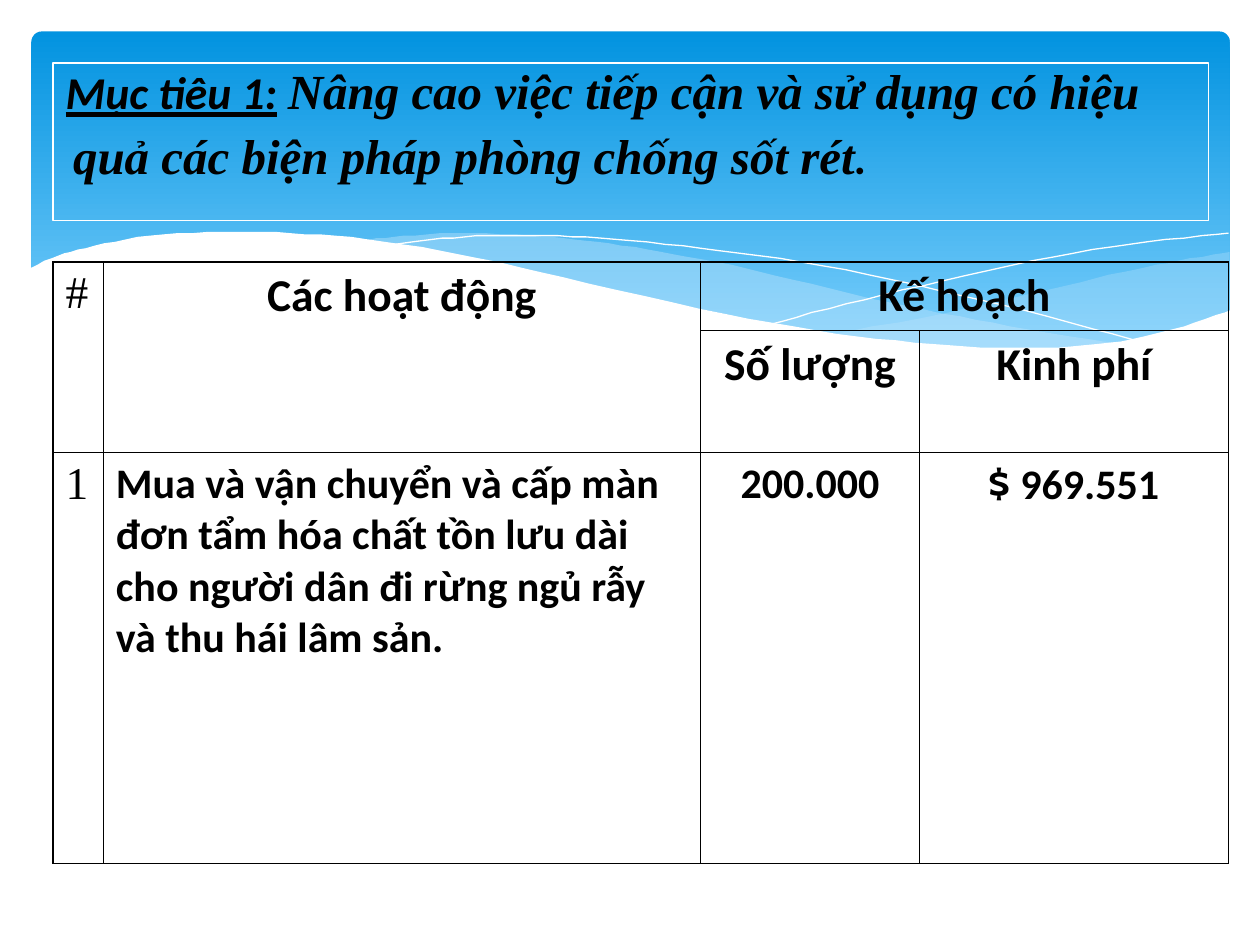
from dataclasses import dataclass
from typing import NamedTuple, Optional

from lxml.etree import SubElement
from pptx import Presentation
from pptx.dml.color import RGBColor
from pptx.enum.shapes import MSO_SHAPE
from pptx.enum.text import MSO_ANCHOR, MSO_AUTO_SIZE, PP_ALIGN
from pptx.oxml.ns import qn
from pptx.util import Emu, Pt

COLUMNS, ROWS = 1000, 750
UNIT = 9144


@dataclass(frozen=True)
class Theme:
    sky_top: str = "0293E0"
    sky_bottom: str = "83D3FE"
    mist: str = "C6E7FC"
    white: str = "FFFFFF"
    ink: str = "000000"
    sans: str = "Calibri"
    serif: str = "Times New Roman"
    currency: str = "Cabin"
    heading: float = 26
    goal: float = 28
    body: float = 24
    outer_rule: float = 1.08
    inner_rule: float = 0.45


THEME = Theme()
Knots = tuple[tuple[float, float], ...]


class Wave(NamedTuple):
    curves: tuple[Knots, ...]
    fill: Optional[str] = None
    opacity: int = 100


class Piece(NamedTuple):
    text: str
    font: str = THEME.sans
    size: Optional[float] = None
    underline: Optional[bool] = None


class Entry(NamedTuple):
    row: int
    column: int
    pieces: tuple[Piece, ...]
    size: float = THEME.heading
    bold: bool = True
    align: PP_ALIGN = PP_ALIGN.CENTER
    last_row: Optional[int] = None
    last_column: Optional[int] = None


WAVES = (
    Wave((((976, 200), (935, 207), (891, 216), (832, 230), (753, 248), (661, 265)),
          ((661, 265), (705, 271), (757, 276), (814, 278), (872, 274),
           (921, 265), (949, 257), (976, 247))), THEME.mist, 29),
    Wave((((893, 273), (837, 265), (775, 254), (706, 240), (629, 222), (569, 208),
           (514, 198), (464, 191), (420, 187), (361, 185), (313, 188), (286, 191)),
          ((286, 191), (342, 199), (404, 211), (449, 222), (530, 240), (601, 255),
           (665, 266), (722, 274), (773, 278), (818, 279), (857, 277), (893, 273))),
         THEME.mist, 40),
    Wave((((309, 195), (343, 190), (387, 187), (433, 187), (489, 190), (556, 197),
           (636, 208), (727, 226), (831, 251), (907, 272)),)),
    Wave((((613, 257), (672, 241), (748, 223), (836, 204), (910, 192), (975, 185)),)),
    Wave((((977, 246), (940, 259), (899, 269), (850, 275), (793, 276), (726, 272),
           (647, 262), (555, 245), (447, 220), (365, 202), (292, 190), (230, 185),
           (176, 184), (119, 187), (75, 195), (46, 203), (23, 213)),
          ((23, 329), (977, 329))), THEME.white),
)

COLUMN_WIDTHS = (40, 474, 174, 245)
ROW_HEIGHTS = (53, 97, 326)
ENTRIES = (
    Entry(0, 0, (Piece("#", THEME.serif),), bold=False, align=PP_ALIGN.LEFT, last_row=1),
    Entry(0, 1, (Piece("Các hoạt động"),), last_row=1),
    Entry(0, 2, (Piece("Kế hoạch"),), last_column=3),
    Entry(1, 2, (Piece("Số lượng"),)),
    Entry(1, 3, (Piece("Kinh phí"),)),
    Entry(2, 0, (Piece("1", THEME.serif),), bold=False, align=PP_ALIGN.LEFT),
    Entry(2, 1, (Piece("Mua và vận chuyển và cấp màn đơn tẩm hóa chất tồn lưu dài "
                       "cho người dân đi rừng ngủ rẫy và thu hái lâm sản."),),
          THEME.body, align=PP_ALIGN.LEFT),
    Entry(2, 2, (Piece("200.000"),), THEME.body),
    Entry(2, 3, (Piece("$", THEME.currency), Piece(" 969.551")), THEME.body),
)
GOAL = (
    Piece("Mục tiêu 1:", THEME.sans, THEME.heading, True),
    Piece(" ", THEME.sans, THEME.heading),
    Piece("Nâng cao việc tiếp cận và sử dụng có hiệu quả các biện pháp "
          "phòng chống sốt rét", THEME.serif, THEME.goal),
    Piece(".", THEME.sans, THEME.heading),
)


def span(*units: float) -> tuple[Emu, ...]:
    return tuple(Emu(round(unit * UNIT)) for unit in units)


def smooth(knots: Knots, steps: int = 5) -> list[tuple[float, float]]:
    if len(knots) < 3:
        return list(knots)
    padded = (knots[0], *knots, knots[-1])
    points = [knots[0]]
    for a, b, c, d in zip(padded, padded[1:], padded[2:], padded[3:]):
        for step in range(1, steps + 1):
            t = step / steps
            points.append(tuple(
                q + t * (r - p) / 2 + t * t * (2 * p - 5 * q + 4 * r - s) / 2
                + t ** 3 * (3 * q - p - 3 * r + s) / 2
                for p, q, r, s in zip(a, b, c, d)))
    return points


def draw_sky(slide) -> None:
    sky = slide.shapes.add_shape(MSO_SHAPE.ROUNDED_RECTANGLE, *span(25, 25, 951, 270))
    sky.adjustments[0] = 0.03
    sky.shadow.inherit = False
    sky.line.fill.background()
    sky.fill.gradient()
    sky.fill.gradient_angle = 270
    for stop, color in zip(sky.fill.gradient_stops, (THEME.sky_top, THEME.sky_bottom)):
        stop.color.rgb = RGBColor.from_string(color)


def draw_wave(slide, wave: Wave) -> None:
    start, *rest = [point for curve in wave.curves for point in smooth(curve)]
    builder = slide.shapes.build_freeform(*start, scale=UNIT)
    builder.add_line_segments(rest, close=wave.fill is not None)
    outline = builder.convert_to_shape()
    outline.shadow.inherit = False
    if wave.fill is None:
        outline.fill.background()
        outline.line.color.rgb = RGBColor.from_string(THEME.white)
        outline.line.width = Pt(0)
        return
    outline.line.fill.background()
    outline.fill.solid()
    outline.fill.fore_color.rgb = RGBColor.from_string(wave.fill)
    if wave.opacity < 100:
        tint = outline.fill._xPr.find(".//" + qn("a:srgbClr"))
        SubElement(tint, qn("a:alpha"), val=str(wave.opacity * 1000))


def write_pieces(paragraph, pieces: tuple[Piece, ...]) -> None:
    paragraph.font.color.rgb = RGBColor.from_string(THEME.ink)
    if len(pieces) == 1:
        paragraph.font.name = pieces[0].font
    for piece in pieces:
        run = paragraph.add_run()
        run.text = piece.text
        if len(pieces) > 1:
            run.font.name = piece.font
        if piece.size:
            run.font.size = Pt(piece.size)
        if piece.underline:
            run.font.underline = True


def rule_cell(cell, row: int, column: int) -> None:
    outer = {"lnL": column == 0, "lnR": column == len(COLUMN_WIDTHS) - 1,
             "lnT": row == 0, "lnB": False}
    cell.fill.background()
    properties = cell._tc.get_or_add_tcPr()
    for position, (side, is_outer) in enumerate(outer.items()):
        weight = THEME.outer_rule if is_outer else THEME.inner_rule
        rule = SubElement(properties, qn(f"a:{side}"), w=str(Pt(weight)))
        SubElement(SubElement(rule, qn("a:solidFill")), qn("a:srgbClr"), val=THEME.ink)
        properties.insert(position, rule)


def draw_plan(slide) -> None:
    plan = slide.shapes.add_table(
        len(ROW_HEIGHTS), len(COLUMN_WIDTHS),
        *span(42, 208, sum(COLUMN_WIDTHS), sum(ROW_HEIGHTS))).table
    plan.first_row = plan.horz_banding = False
    for column, width in zip(plan.columns, span(*COLUMN_WIDTHS)):
        column.width = width
    for row, height in zip(plan.rows, span(*ROW_HEIGHTS)):
        row.height = height
    for row in range(len(ROW_HEIGHTS)):
        for column in range(len(COLUMN_WIDTHS)):
            rule_cell(plan.cell(row, column), row, column)
    for entry in ENTRIES:
        cell = plan.cell(entry.row, entry.column)
        if entry.last_row or entry.last_column:
            cell.merge(plan.cell(entry.last_row or entry.row,
                                 entry.last_column or entry.column))
        paragraph = cell.text_frame.paragraphs[0]
        paragraph.alignment = entry.align
        paragraph.font.size = Pt(entry.size)
        paragraph.font.bold = entry.bold
        write_pieces(paragraph, entry.pieces)


def draw_goal(slide) -> None:
    goal = slide.shapes.title
    slide.shapes._spTree.append(goal._element)
    goal.left, goal.top, goal.width, goal.height = span(42, 50, 917, 125)
    goal.line.color.rgb = RGBColor.from_string(THEME.white)
    goal.line.width = Pt(0.75)
    frame = goal.text_frame
    frame.auto_size = MSO_AUTO_SIZE.NONE
    frame.word_wrap = True
    frame.vertical_anchor = MSO_ANCHOR.MIDDLE
    frame.margin_left, frame.margin_top, frame.margin_right, frame.margin_bottom = span(
        10, 5, 10, 40)
    paragraph = frame.paragraphs[0]
    paragraph.alignment = PP_ALIGN.LEFT
    paragraph.line_spacing = 1.1
    hanging, = span(6)
    properties = paragraph._p.get_or_add_pPr()
    properties.set("marL", str(hanging))
    properties.set("indent", str(-hanging))
    paragraph.font.bold = paragraph.font.italic = True
    write_pieces(paragraph, GOAL)


def main() -> None:
    deck = Presentation()
    deck.slide_width, deck.slide_height = span(COLUMNS, ROWS)
    slide = deck.slides.add_slide(deck.slide_layouts[5])
    draw_sky(slide)
    for wave in WAVES:
        draw_wave(slide, wave)
    draw_plan(slide)
    draw_goal(slide)
    deck.save("out.pptx")


if __name__ == "__main__":
    main()
